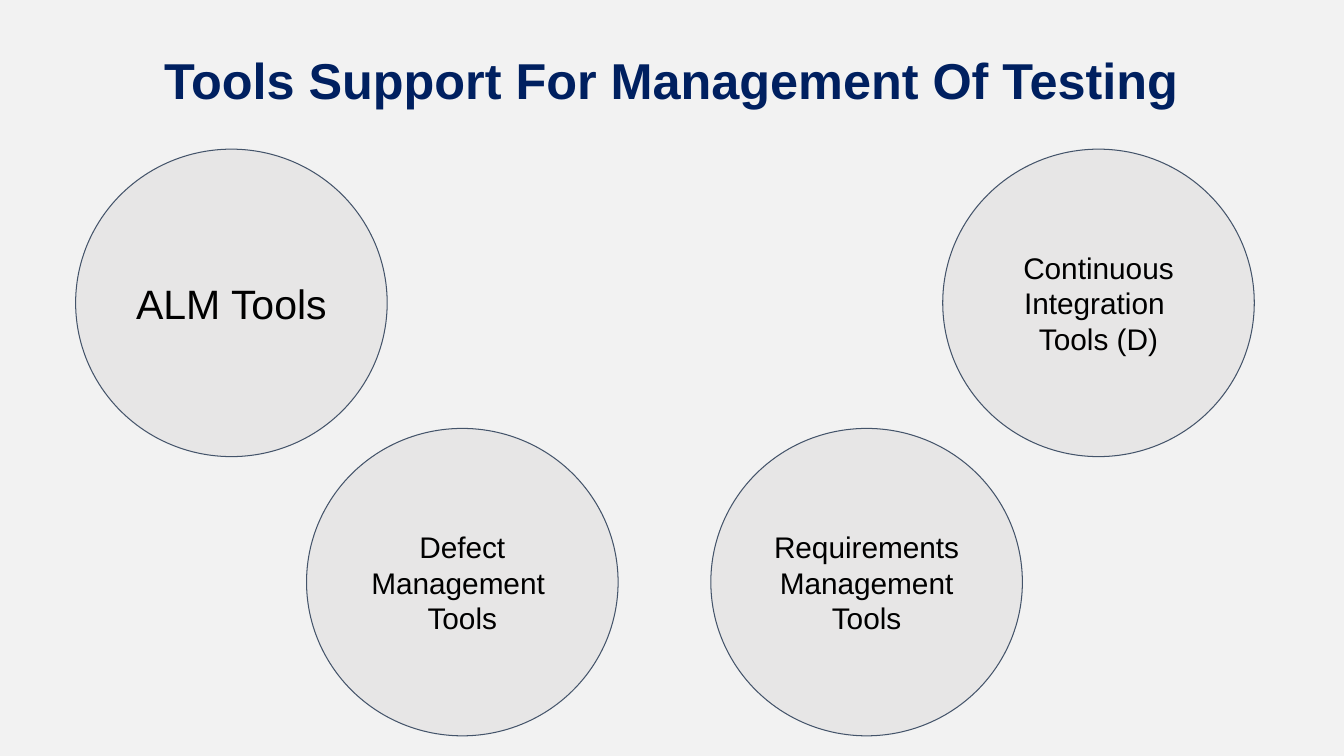
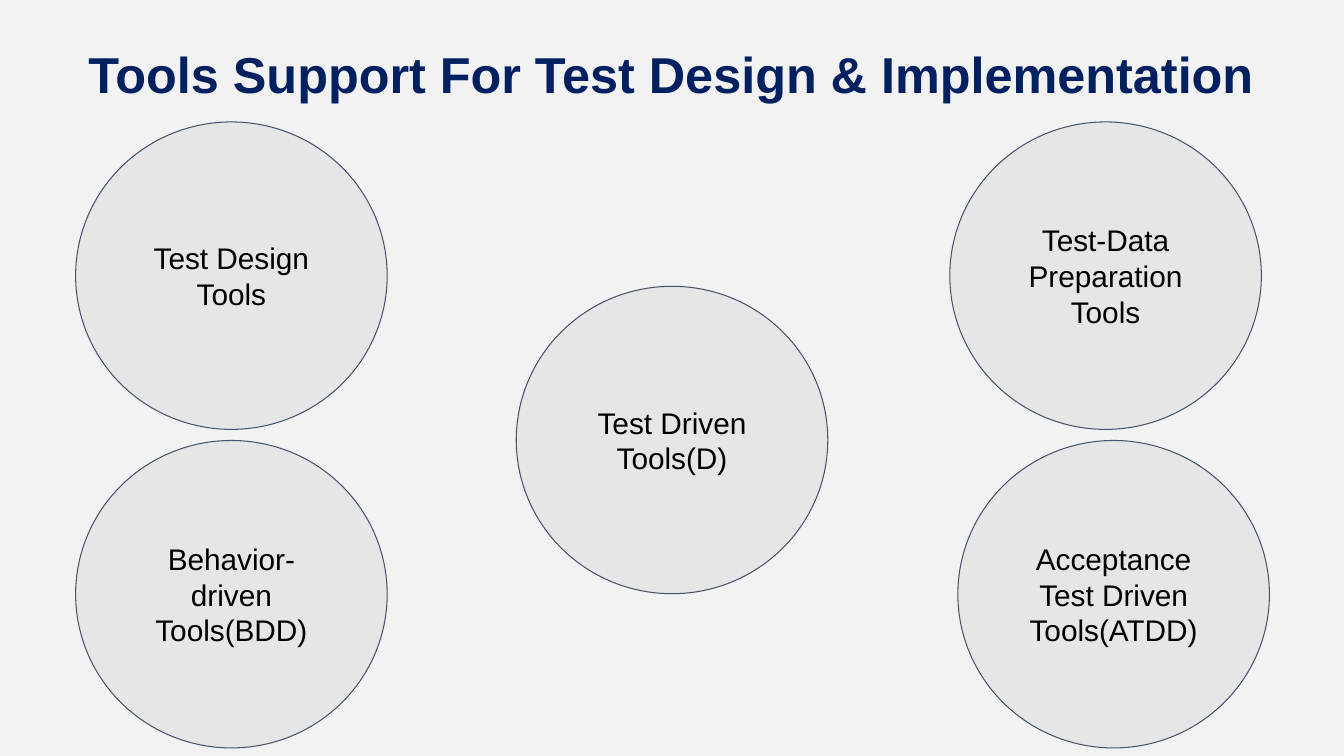
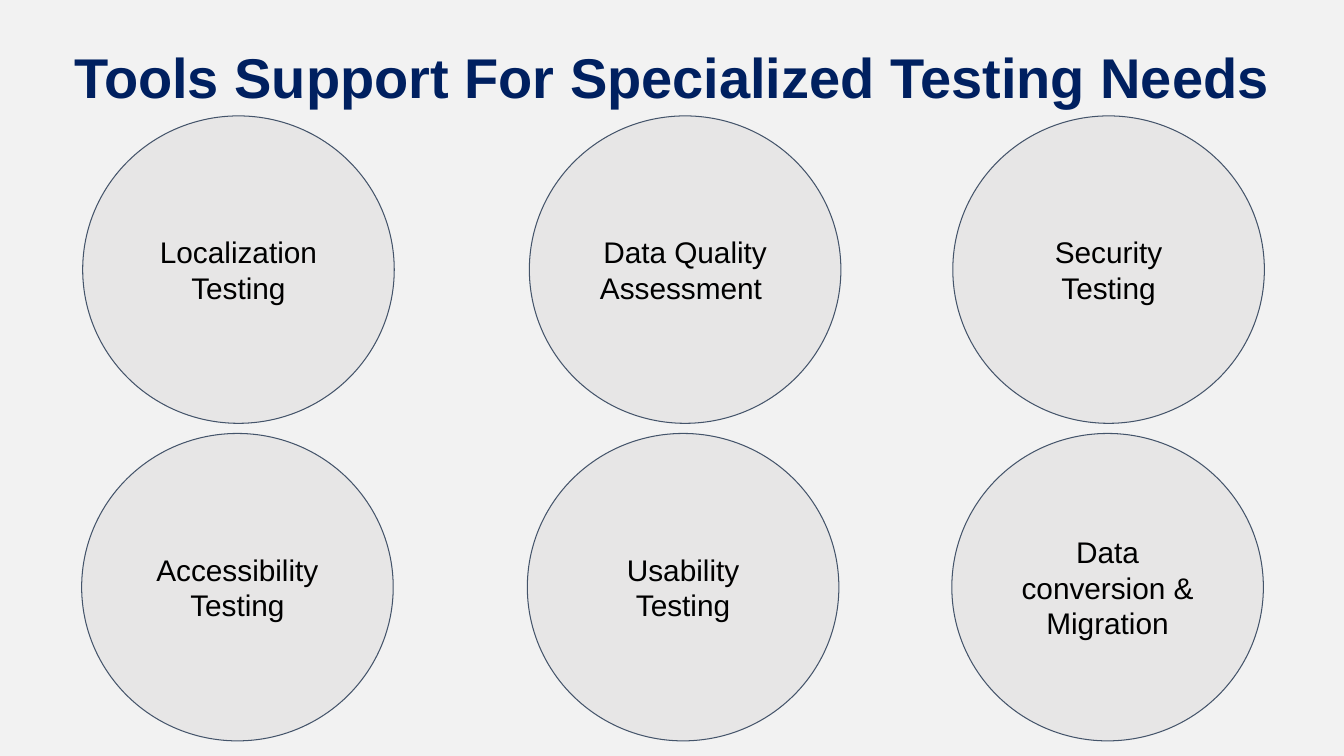
"""Builds three slides of circles naming the kinds of testing tools."""
import dataclasses

import pptx
import pptx.dml.color
import pptx.enum.shapes
import pptx.enum.text
import pptx.util

Inches = pptx.util.Inches
Pt = pptx.util.Pt
Anchor = pptx.enum.text.MSO_ANCHOR


@dataclasses.dataclass(frozen=True)
class Theme:
    background: str = "F2F2F2"
    title: str = "002060"
    circle: str = "E7E6E6"
    outline: str = "44546A"
    label: str = "000000"
    font: str = "Arial"
    title_size: float = 36
    large_title_size: float = 40
    label_size: float = 21.3
    large_label_size: float = 29.3
    outline_width: float = 0.75


THEME = Theme()
SLIDE_WIDTH, SLIDE_HEIGHT = 13.33, 7.5
TITLE_LEFT, TITLE_WIDTH, TITLE_HEIGHT = 0.45, 12.42, 0.84
CIRCLE_WIDTH, CIRCLE_HEIGHT = 3.09, 3.05
INSET = 0.13

TOPICS = [
    {
        "title": "Tools Support For Management Of Testing",
        "title_top": 0.43,
        "rows": [
            (1.48, [(0.75, "ALM Tools", THEME.large_label_size),
                    (9.35, "Continuous Integration \vTools (D)")]),
            (4.25, [(3.04, "Defect Management \vTools"),
                    (7.05, "Requirements Management Tools")]),
        ],
    },
    {
        "title": "Tools Support For Test Design & Implementation",
        "rows": [
            (1.21, [(0.75, "Test Design Tools"),
                    (9.42, "Test-Data Preparation Tools")]),
            (2.84, [(5.12, "Test Driven Tools(D)")]),
            (4.37, [(0.75, "Behavior-\ndriven Tools(BDD)"),
                    (9.5, "Acceptance Test Driven Tools(ATDD)")]),
        ],
    },
    {
        "title": "Tools Support For Specialized Testing Needs",
        "title_size": THEME.large_title_size,
        "rows": [
            (1.15, [(0.82, "Localization Testing"),
                    (5.25, "Data Quality Assessment "),
                    (9.45, "Security Testing")]),
            (4.3, [(0.81, "Accessibility Testing"),
                   (5.23, "Usability Testing"),
                   (9.44, "Data conversion & Migration")]),
        ],
    },
]


def rgb(value):
    return pptx.dml.color.RGBColor.from_string(value)


def write(shape, text, *, size, color, bold=False, anchor=Anchor.MIDDLE, line_spacing=None):
    frame = shape.text_frame
    frame.text = text
    frame.word_wrap = True
    frame.auto_size = pptx.enum.text.MSO_AUTO_SIZE.NONE
    frame.vertical_anchor = anchor
    frame.margin_left = frame.margin_right = Inches(INSET)
    frame.margin_top = frame.margin_bottom = Inches(INSET)
    for paragraph in frame.paragraphs:
        paragraph.alignment = pptx.enum.text.PP_ALIGN.CENTER
        paragraph.line_spacing = line_spacing
        for run in paragraph.runs:
            run.font.name = THEME.font
            run.font.size = Pt(size)
            run.font.bold = bold
            run.font.color.rgb = rgb(color)


def add_title(slide, text, top, size):
    title = slide.shapes.title
    title.left, title.top = Inches(TITLE_LEFT), Inches(top)
    title.width, title.height = Inches(TITLE_WIDTH), Inches(TITLE_HEIGHT)
    write(title, text, size=size, color=THEME.title, bold=True,
          anchor=Anchor.TOP, line_spacing=0.9)


def add_tool(slide, top, left, label, size=THEME.label_size):
    circle = slide.shapes.add_shape(
        pptx.enum.shapes.MSO_SHAPE.OVAL, Inches(left), Inches(top),
        Inches(CIRCLE_WIDTH), Inches(CIRCLE_HEIGHT))
    circle.shadow.inherit = False
    circle.fill.solid()
    circle.fill.fore_color.rgb = rgb(THEME.circle)
    circle.line.color.rgb = rgb(THEME.outline)
    circle.line.width = Pt(THEME.outline_width)
    write(circle, label, size=size, color=THEME.label)


def main():
    deck = pptx.Presentation()
    deck.slide_width, deck.slide_height = Inches(SLIDE_WIDTH), Inches(SLIDE_HEIGHT)
    backdrop = deck.slide_master.background.fill
    backdrop.solid()
    backdrop.fore_color.rgb = rgb(THEME.background)
    title_only = deck.slide_layouts.get_by_name("Title Only")
    for topic in TOPICS:
        slide = deck.slides.add_slide(title_only)
        add_title(slide, topic["title"], topic.get("title_top", 0.37),
                  topic.get("title_size", THEME.title_size))
        for top, tools in topic["rows"]:
            for tool in tools:
                add_tool(slide, top, *tool)
    deck.save("out.pptx")


if __name__ == "__main__":
    main()
